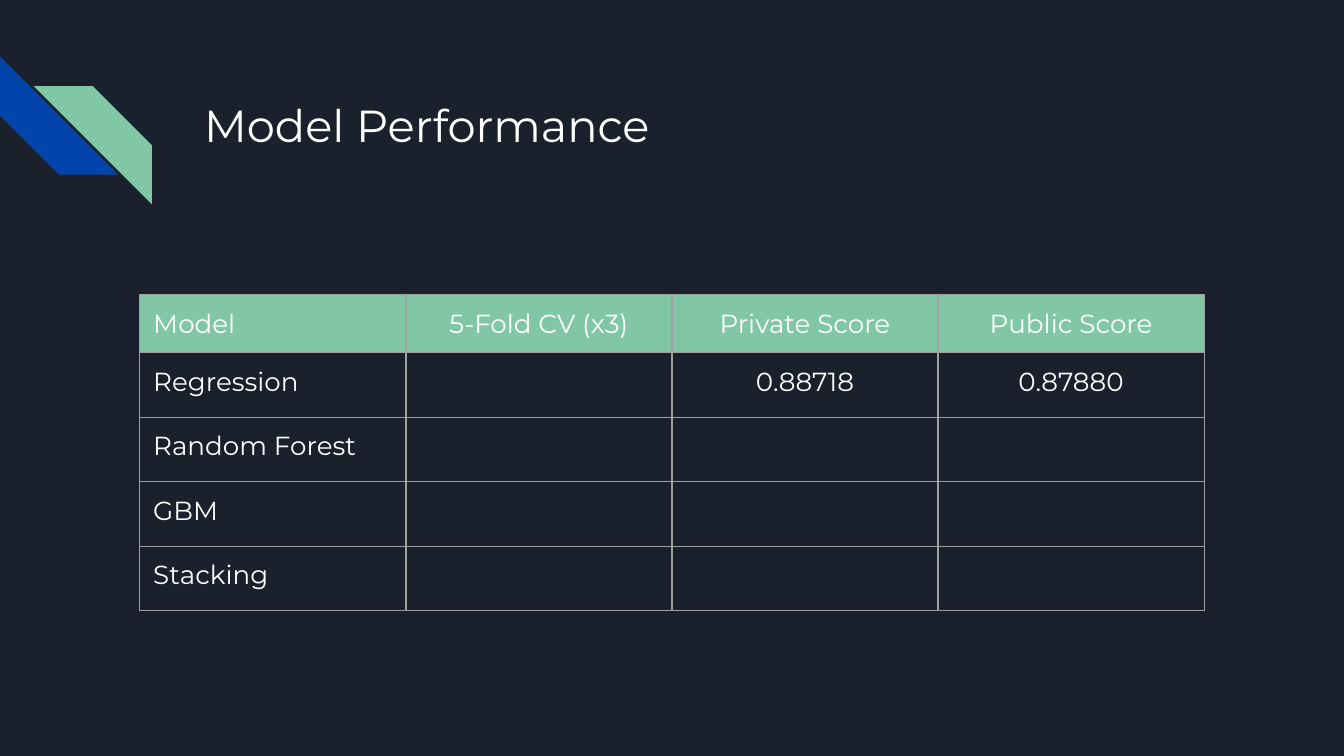
from lxml.etree import SubElement
from pptx import Presentation
from pptx.dml.color import RGBColor
from pptx.enum.shapes import MSO_SHAPE
from pptx.enum.text import MSO_ANCHOR, PP_ALIGN
from pptx.oxml.ns import qn
from pptx.util import Inches, Pt

NAVY = RGBColor(0x1B, 0x21, 0x2C)
BLUE = RGBColor(0x01, 0x45, 0xAC)
GREEN = RGBColor(0x82, 0xC7, 0xA5)
GRAY = RGBColor(0x9E, 0x9E, 0x9E)
WHITE = RGBColor(0xFF, 0xFF, 0xFF)
FONT = "Montserrat"

TITLE = "Model Performance"
SCORES = [
    ("Model", "5-Fold CV (x3)", "Private Score", "Public Score"),
    ("Regression", "", "0.88718", "0.87880"),
    ("Random Forest", "", "", ""),
    ("GBM", "", "", ""),
    ("Stacking", "", "", ""),
]
# left, top, rotation, colour
STRIPES = [(0, 0.42, 270, BLUE), (0.25, 0.64, 90, GREEN)]
STRIPE_SIZE = 0.88
PAGE_WIDTH = Inches(10)
PAGE_HEIGHT = PAGE_WIDTH * 9 // 16
TABLE_LEFT, TABLE_TOP, COLUMN_WIDTH = 1.04, 2.19, 1.98
HEADER_HEIGHT, ROW_HEIGHT = 0.43, 0.48
INSETS = {f"margin_{side}": Inches(0.1) for side in ("left", "right", "top", "bottom")}


def set_format(target, values):
    for name, value in values.items():
        setattr(target, name, value)


def write(para, text, size):
    span = para.add_run()
    span.text = text
    set_format(span.font, {"name": FONT, "size": Pt(size)})
    span.font.color.rgb = WHITE


def add_borders(cell):
    properties = cell._tc.get_or_add_tcPr()
    for position, side in enumerate(("lnL", "lnR", "lnT", "lnB")):
        line = properties.makeelement(qn(f"a:{side}"), {"w": str(Pt(0.75))})
        fill = SubElement(line, qn("a:solidFill"))
        SubElement(fill, qn("a:srgbClr"), val=str(GRAY))
        properties.insert(position, line)


def add_stripe(page, left, top, rotation, colour):
    stripe = page.shapes.add_shape(
        MSO_SHAPE.DIAGONAL_STRIPE, Inches(left), Inches(top),
        Inches(STRIPE_SIZE), Inches(STRIPE_SIZE))
    stripe.rotation = rotation
    stripe.shadow.inherit = False
    stripe.fill.solid()
    stripe.fill.fore_color.rgb = colour
    stripe.line.fill.background()


def add_title(page):
    box = page.shapes.add_textbox(Inches(1.42), Inches(0.43), Inches(7.7), Inches(1))
    frame = box.text_frame
    set_format(frame, {**INSETS, "word_wrap": True, "vertical_anchor": MSO_ANCHOR.MIDDLE})
    write(frame.paragraphs[0], TITLE, 24)


def add_score_table(page):
    row_count, column_count = len(SCORES), len(SCORES[0])
    height = HEADER_HEIGHT + ROW_HEIGHT * (row_count - 1)
    table = page.shapes.add_table(
        row_count, column_count, Inches(TABLE_LEFT), Inches(TABLE_TOP),
        Inches(COLUMN_WIDTH * column_count), Inches(height)).table
    set_format(table, {"first_row": False, "horz_banding": False})
    for column in table.columns:
        column.width = Inches(COLUMN_WIDTH)
    for row_index, texts in enumerate(SCORES):
        is_header = row_index == 0
        table.rows[row_index].height = Inches(HEADER_HEIGHT if is_header else ROW_HEIGHT)
        for column_index, text in enumerate(texts):
            cell = table.cell(row_index, column_index)
            if is_header:
                cell.fill.solid()
                cell.fill.fore_color.rgb = GREEN
            else:
                cell.fill.background()
            add_borders(cell)
            if text:
                set_format(cell, INSETS)
                para = cell.text_frame.paragraphs[0]
                para.alignment = PP_ALIGN.CENTER if column_index else PP_ALIGN.LEFT
                write(para, text, 14)


def main():
    deck = Presentation()
    set_format(deck, {"slide_width": PAGE_WIDTH, "slide_height": PAGE_HEIGHT})
    page = deck.slides.add_slide(deck.slide_layouts[6])
    page.background.fill.solid()
    page.background.fill.fore_color.rgb = NAVY
    for stripe in STRIPES:
        add_stripe(page, *stripe)
    add_title(page)
    add_score_table(page)
    deck.save("out.pptx")


if __name__ == "__main__":
    main()
